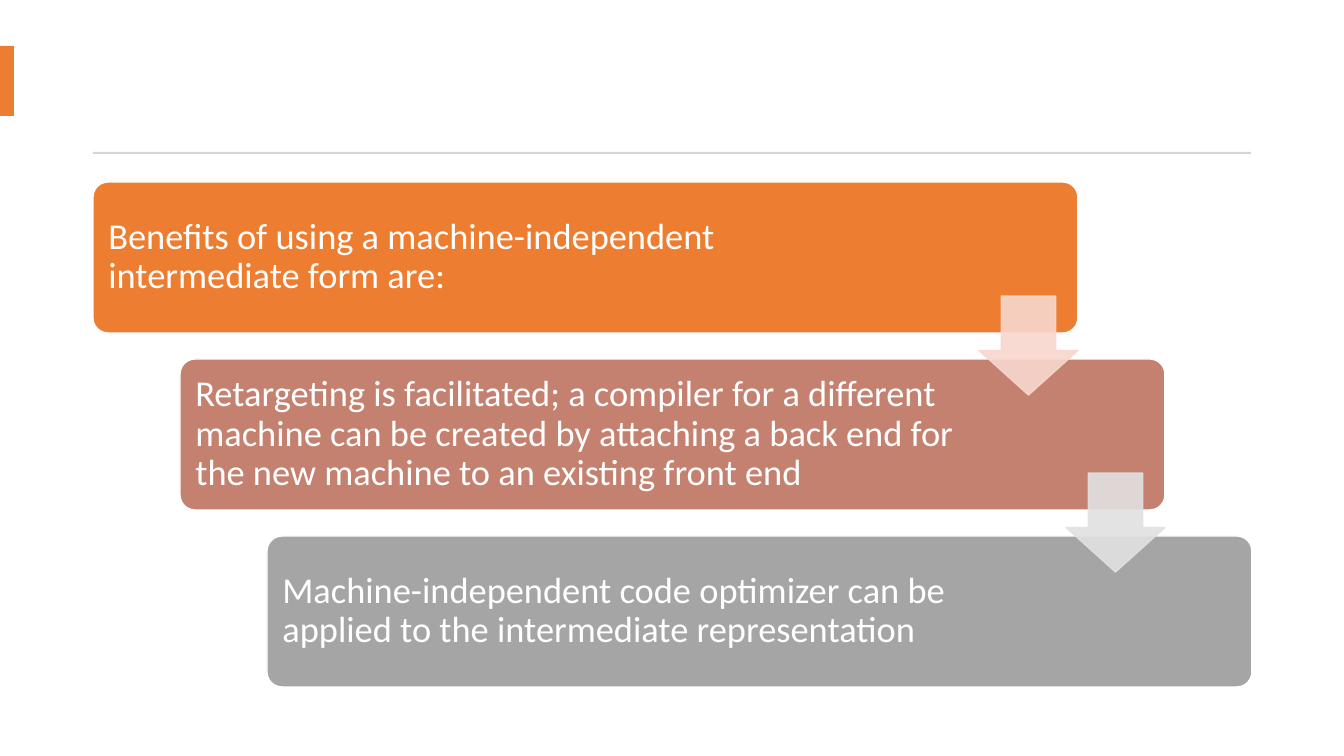
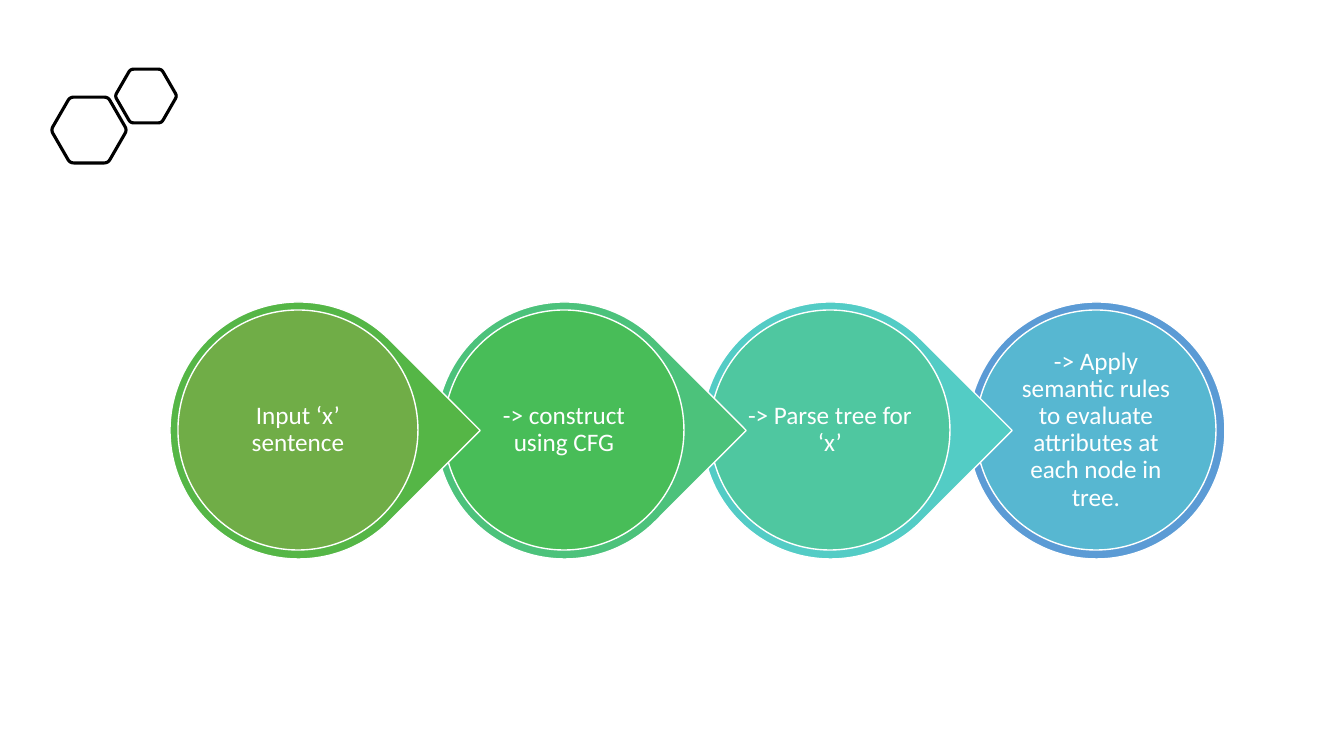
import math

import pptx
import pptx.dml.color
import pptx.enum.shapes
import pptx.enum.text
import pptx.oxml
import pptx.oxml.ns
import pptx.util

PX = 914400 / 100.8  # EMU in one px
SHAPES = pptx.enum.shapes.MSO_SHAPE
ALIGN = pptx.enum.text.PP_ALIGN

COLORS = {
    "white": "FFFFFF", "black": "000000", "rule": "D5D5D5",
    "orange": "ED7D31", "clay": "C48170", "gray": "A5A5A5",
    "pale_clay": "F8D7CE", "pale_gray": "E1E1E1",
    "leaf": "70AD47", "leaf_ring": "55B646",
    "green": "48BD58", "green_ring": "4CC27B",
    "mint": "4FC7A0", "mint_ring": "53CCC5",
    "sky": "57B7D1", "sky_ring": "5B9BD5",
}
TEXT_FONT = {"name": "Calibri", "bold": False}
TEXT_FRAME = {"word_wrap": True, "vertical_anchor": pptx.enum.text.MSO_ANCHOR.MIDDLE}


def emu(px):
    return pptx.util.Emu(round(px * PX))


def apply(target, values):
    for key, value in values.items():
        setattr(target, key, value)


class Deck:
    """Holds the shared style and the current slide."""

    def __init__(self, width, height):
        self.prs = pptx.Presentation()
        apply(self.prs, {"slide_width": emu(width), "slide_height": emu(height)})
        self.slide = None

    def new_slide(self):
        self.slide = self.prs.slides.add_slide(self.prs.slide_layouts[6])

    def paint(self, fill_format, color, alpha=None):
        if color is None:
            fill_format.background()
            return
        fill_format.solid()
        fill_format.fore_color.rgb = pptx.dml.color.RGBColor.from_string(COLORS[color])
        if alpha is not None:
            rgb = fill_format._xPr.find(".//" + pptx.oxml.ns.qn("a:srgbClr"))
            opacity = pptx.oxml.parse_xml(
                f'<a:alpha {pptx.oxml.ns.nsdecls("a")} val="{alpha * 1000}"/>')
            rgb.append(opacity)

    def finish(self, shape, fill, line, weight=1, alpha=None):
        shape.shadow.inherit = False
        self.paint(shape.fill, fill, alpha)
        self.paint(shape.line.fill, line, alpha)
        if line:
            shape.line.width = pptx.util.Pt(weight)

    def shape(self, preset, box, fill, line="white", adjust=(), turn=0, alpha=None):
        shape = self.slide.shapes.add_shape(preset, *map(emu, box))
        for index, value in enumerate(adjust):
            shape.adjustments[index] = value
        shape.rotation = turn
        self.finish(shape, fill, line, alpha=alpha)
        return shape

    def text(self, shape, words, size, align, margins):
        frame = shape.text_frame
        sides = ("margin_left", "margin_top", "margin_right", "margin_bottom")
        apply(frame, TEXT_FRAME | dict(zip(sides, map(emu, margins))))
        paragraph = frame.paragraphs[0]
        apply(paragraph, {"text": words, "alignment": align, "line_spacing": 0.9})
        apply(paragraph.font, TEXT_FONT | {"size": pptx.util.Pt(size)})
        self.paint(paragraph.font.fill, "white")

    def hexagon(self, center_x, center_y, radius, cut=0.1, steps=4):
        """Outline of a hexagon whose corners are rounded off by short curves."""
        corners = [(center_x + radius * math.cos(math.radians(60 * n)),
                    center_y + radius * math.sin(math.radians(60 * n))) for n in range(6)]
        outline = []
        for n, corner in enumerate(corners):
            before, after = corners[n - 1], corners[(n + 1) % 6]
            for step in range(steps + 1):
                t = step / steps
                outline.append(tuple(
                    emu(c + cut * ((1 - t) ** 2 * (b - c) + t ** 2 * (a - c)))
                    for b, c, a in zip(before, corner, after)))
        builder = self.slide.shapes.build_freeform(*outline[0])
        builder.add_line_segments(outline[1:], close=True)
        self.finish(builder.convert_to_shape(), None, "black", weight=2.25)


def benefits_slide(deck):
    deck.new_slide()
    # Side accent and rule
    deck.shape(SHAPES.RECTANGLE, (0, 46, 14, 70), "orange", None)
    deck.shape(SHAPES.RECTANGLE, (93, 152, 1158, 2), "rule", None)

    # Staggered steps
    step_x, step_y = 87, 177
    benefits = [
        ("Benefits of using a machine-independent intermediate form are:", "orange"),
        ("Retargeting is facilitated; a compiler for a different machine can be created "
         "by attaching a back end for the new machine to an existing front end", "clay"),
        ("Machine-independent code optimizer can be applied to the intermediate "
         "representation", "gray"),
    ]
    for n, (words, color) in enumerate(benefits):
        card = deck.shape(SHAPES.ROUNDED_RECTANGLE,
                          (93 + n * step_x, 182 + n * step_y, 985, 151),
                          color, adjust=(0.1,))
        deck.text(card, words, 26, ALIGN.LEFT, (11, 11, 198, 11))

    # Arrows between steps
    for n, color in enumerate(("pale_clay", "pale_gray")):
        deck.shape(SHAPES.DOWN_ARROW, (979 + n * step_x, 296 + n * step_y, 99, 99),
                   color, color, adjust=(0.55, 0.45), alpha=90)


def semantic_slide(deck):
    deck.new_slide()
    # Hexagon ornament
    deck.hexagon(89, 130, 38)
    deck.hexagon(146, 96, 31)

    # Chain of stages, drawn from the last so that each tip overlaps the next
    stages = [
        ("Input ‘x’ sentence", "leaf"),
        ("-> construct using CFG", "green"),
        ("-> Parse tree for ‘x’", "mint"),
        ("-> Apply semantic rules to evaluate attributes at each node in tree.", "sky"),
    ]
    last = len(stages) - 1
    for n, (words, color) in reversed(list(enumerate(stages))):
        left, top = 170 + n * 266, 302
        preset, adjust, turn = ((SHAPES.OVAL, (), 0) if n == last
                                else (SHAPES.TEAR, (1,), 45))
        deck.shape(preset, (left, top, 257, 257), color + "_ring", adjust=adjust, turn=turn)
        disc = deck.shape(SHAPES.OVAL, (left + 8, top + 8, 240, 240), color)
        deck.text(disc, words, 18, ALIGN.CENTER, (1, 1, 1, 1))


def main():
    deck = Deck(1344, 756)
    benefits_slide(deck)
    semantic_slide(deck)
    deck.prs.save("out.pptx")


if __name__ == "__main__":
    main()
